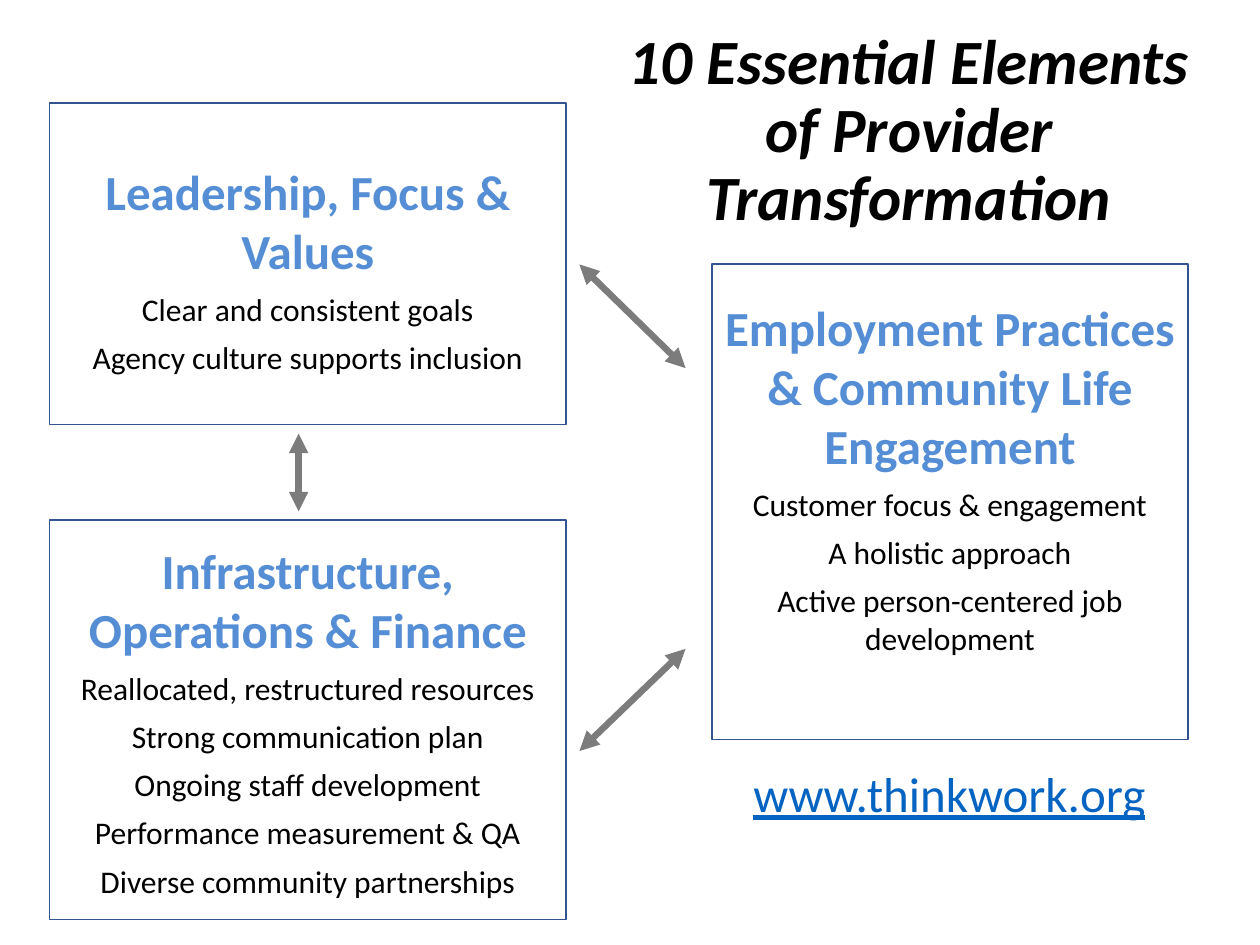
from lxml.etree import SubElement
from pptx import Presentation
from pptx.dml.color import RGBColor
from pptx.enum.shapes import MSO_CONNECTOR, MSO_SHAPE
from pptx.enum.text import MSO_ANCHOR, MSO_AUTO_SIZE, PP_ALIGN
from pptx.oxml.ns import qn
from pptx.util import Cm, Pt

COLORS = {"black": "000000", "head": "558ED5", "border": "325491",
          "arrow": "7C7C7C", "link": "0563C1"}


class Board:
    font = "Calibri"

    def __init__(self, deck):
        self.slide = deck.slides.add_slide(deck.slide_layouts[5])

    def color(self, name):
        return RGBColor.from_string(COLORS[name])

    def place(self, shape, left, top, width, height):
        shape.left, shape.top = Cm(left), Cm(top)
        shape.width, shape.height = Cm(width), Cm(height)

    def run(self, para, text, size, color, bold=False, italic=False, under=False):
        run = para.add_run()
        run.text = text
        font = run.font
        font.name, font.size = self.font, Pt(size)
        font.bold, font.italic, font.underline = bold, italic, under
        font.color.rgb = self.color(color)

    def title(self, lines, *area):
        shape = self.slide.shapes.title
        self.place(shape, *area)
        frame = shape.text_frame
        frame.auto_size = MSO_AUTO_SIZE.NONE
        frame.vertical_anchor = MSO_ANCHOR.MIDDLE
        para = frame.paragraphs[0]
        para.alignment = PP_ALIGN.CENTER
        para.line_spacing = 0.9
        for i, line in enumerate(lines):
            if i:
                para.add_line_break()
            self.run(para, line, 36, "black", bold=True, italic=True)

    def panel(self, head, items, *area, above=0.13, below=0.13):
        shape = self.slide.shapes.add_shape(
            MSO_SHAPE.RECTANGLE, *(Cm(n) for n in area))
        shape.shadow.inherit = False
        shape.fill.background()
        shape.line.color.rgb = self.color("border")
        shape.line.width = Pt(1)
        frame = shape.text_frame
        frame.word_wrap = True
        frame.vertical_anchor = MSO_ANCHOR.MIDDLE
        frame.margin_top, frame.margin_bottom = Cm(above), Cm(below)
        for i, text in enumerate([head, *items]):
            para = frame.add_paragraph() if i else frame.paragraphs[0]
            para.alignment = PP_ALIGN.CENTER
            para.space_after = Pt(6)
            if i:
                self.run(para, text, 18, "black")
            else:
                self.run(para, text, 28, "head", bold=True)

    def arrow(self, *ends):
        line = self.slide.shapes.add_connector(
            MSO_CONNECTOR.STRAIGHT, *(Cm(n) for n in ends))
        line.line.color.rgb = self.color("arrow")
        line.line.width = Pt(3.75)
        props = line.line._get_or_add_ln()
        for tag in ("a:headEnd", "a:tailEnd"):
            SubElement(props, qn(tag), type="triangle")
        SubElement(line._element.spPr, qn("a:effectLst"))

    def link(self, text, *area):
        box = self.slide.shapes.add_textbox(*(Cm(n) for n in area))
        frame = box.text_frame
        frame.word_wrap = True
        frame.auto_size = MSO_AUTO_SIZE.SHAPE_TO_FIT_TEXT
        self.run(frame.paragraphs[0], text, 28, "link", under=True)


def main():
    deck = Presentation()
    deck.slide_width, deck.slide_height = Cm(25.4), Cm(19.05)
    board = Board(deck)
    board.title(["10 Essential Elements", "of Provider Transformation"],
                11.68, 1.17, 13.28, 2.97)
    board.panel("Leadership, Focus & Values",
                ["Clear and consistent goals",
                 "Agency culture supports inclusion"],
                1, 2.08, 10.41, 6.48, above=0.34)
    board.panel("Infrastructure, Operations & Finance",
                ["Reallocated, restructured resources",
                 "Strong communication plan",
                 "Ongoing staff development",
                 "Performance measurement & QA",
                 "Diverse community partnerships"],
                1, 10.49, 10.41, 8.05)
    board.panel("Employment Practices & Community Life Engagement",
                ["Customer focus & engagement",
                 "A holistic approach",
                 "Active person-centered job development"],
                14.35, 5.33, 9.6, 9.58, below=1.12)
    board.arrow(11.68, 5.33, 13.82, 7.42)
    board.arrow(13.82, 13.08, 11.68, 15.14)
    board.arrow(6.02, 8.74, 6.02, 10.31)
    board.link("www.thinkwork.org", 14.94, 15.27, 10.01, 1.45)
    deck.save("out.pptx")


if __name__ == "__main__":
    main()
